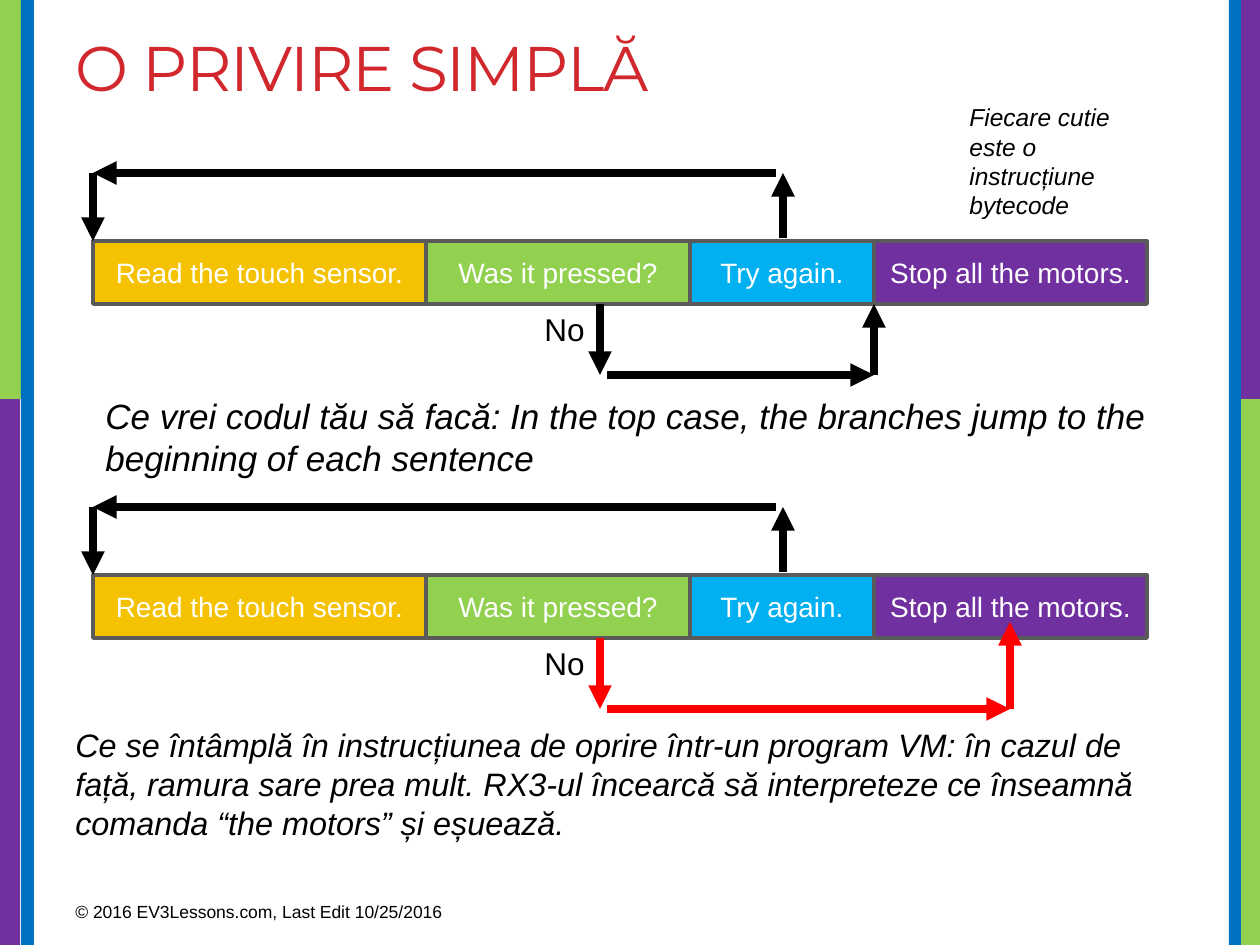
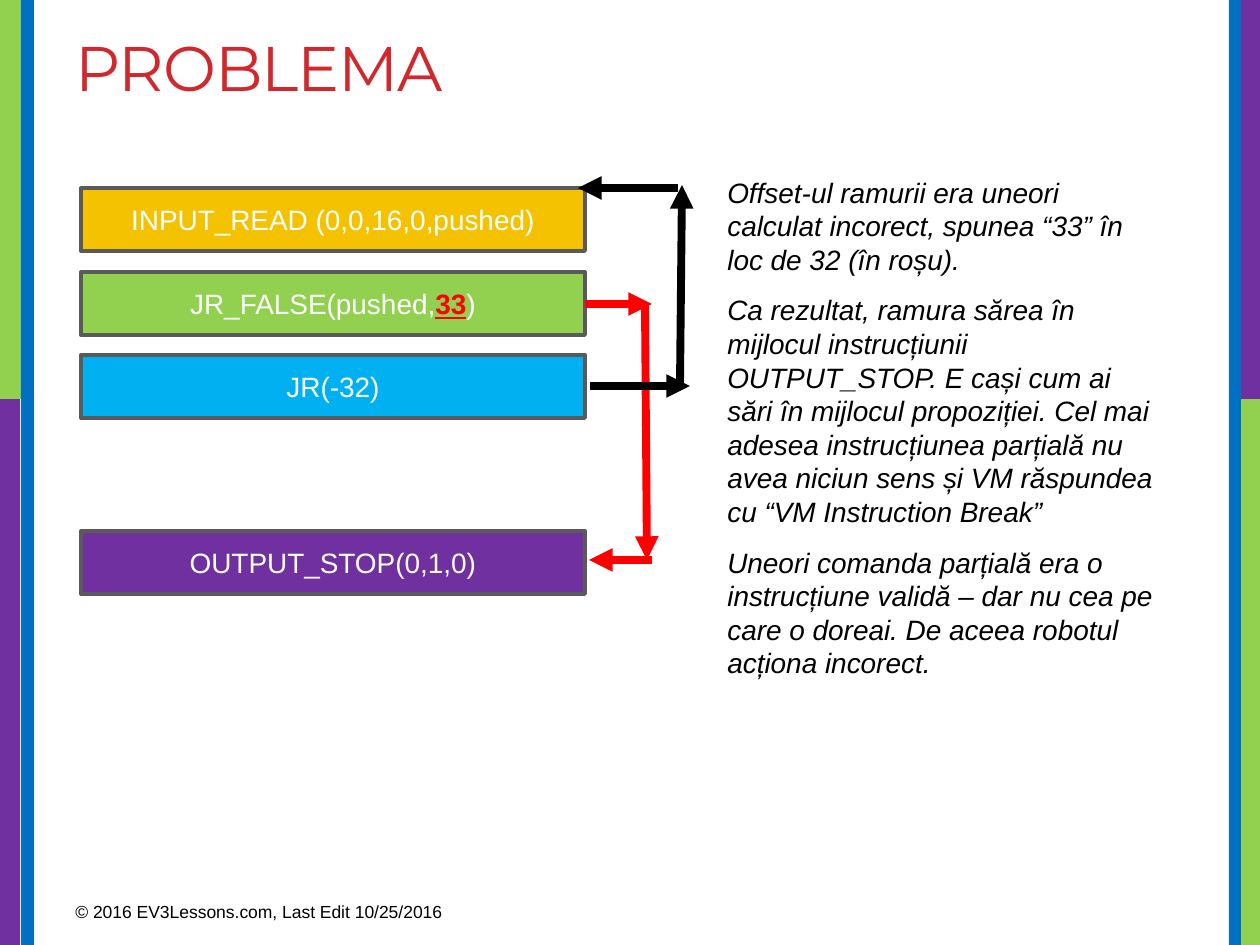
import dataclasses

import pptx
import pptx.dml.color
import pptx.enum.shapes
import pptx.enum.text
import pptx.oxml.ns
import pptx.util
from lxml import etree

PX_PER_INCH = 126
PAGE_WIDTH, PAGE_HEIGHT = 1260, 945


# Colours and type sizes
@dataclasses.dataclass(frozen=True)
class Theme:
    green: str = "92D050"
    purple: str = "7030A0"
    blue: str = "0070C0"
    sky: str = "00B0F0"
    yellow: str = "F5C201"
    red: str = "FF0000"
    title_red: str = "D1282E"
    outline: str = "5A5A5A"
    black: str = "000000"
    white: str = "FFFFFF"
    body_font: str = "Arial"
    title_font: str = "Montserrat"
    title_size: float = 36
    case_size: float = 20
    result_size: float = 18.5
    label_size: float = 18
    body_size: float = 16
    note_size: float = 14
    footer_size: float = 10
    outline_width: float = 2.25
    arrow_width: float = 4.5
    space_before: float = 3.7
    space_after: float = 6


THEME = Theme()
BOX_HEIGHT = 63
BOX_COLORS = (THEME.yellow, THEME.green, THEME.sky, THEME.purple)


def px(length):
    return pptx.util.Emu(round(length * 914400 / PX_PER_INCH))


def rgb(color):
    return pptx.dml.color.RGBColor.from_string(color)


# Element builders
def add_span(para, text, size, color, font=THEME.body_font, italic=False):
    span = para.add_run()
    span.text = text
    span.font.name = font
    span.font.size = pptx.util.Pt(size)
    span.font.color.rgb = rgb(color)
    span.font.italic = italic
    return span


def add_text(page, left, top, width, height, paragraphs, size, italic=False,
             color=THEME.black, font=THEME.body_font):
    box = page.shapes.add_textbox(px(left), px(top), px(width), px(height))
    frame = box.text_frame
    frame.word_wrap = True
    spans = []
    for index, text in enumerate(paragraphs):
        para = frame.paragraphs[0]
        if index:
            para = frame.add_paragraph()
            para.space_before = pptx.util.Pt(THEME.space_before)
        if len(paragraphs) > 1:
            para.space_after = pptx.util.Pt(THEME.space_after)
        spans.append(add_span(para, text, size, color, font, italic))
    return spans


def add_rectangle(page, left, top, width, height, color):
    box = page.shapes.add_shape(pptx.enum.shapes.MSO_SHAPE.RECTANGLE,
                                px(left), px(top), px(width), px(height))
    box.shadow.inherit = False
    box.fill.solid()
    box.fill.fore_color.rgb = rgb(color)
    box.line.fill.background()
    return box


def add_instruction(page, left, top, width, color, text, marked="", rest=""):
    box = add_rectangle(page, left, top, width, BOX_HEIGHT, color)
    box.line.color.rgb = rgb(THEME.outline)
    box.line.width = pptx.util.Pt(THEME.outline_width)
    box.text_frame.word_wrap = True
    para = box.text_frame.paragraphs[0]
    para.alignment = pptx.enum.text.PP_ALIGN.CENTER
    add_span(para, text, THEME.body_size, THEME.white)
    if marked:
        span = add_span(para, marked, THEME.body_size, THEME.red)
        span.font.bold = True
        span.font.underline = True
        add_span(para, rest, THEME.body_size, THEME.white)


def add_arrow(page, start, end, color=THEME.black):
    arrow = page.shapes.add_connector(
        pptx.enum.shapes.MSO_CONNECTOR.STRAIGHT,
        px(start[0]), px(start[1]), px(end[0]), px(end[1]))
    arrow.line.color.rgb = rgb(color)
    arrow.line.width = pptx.util.Pt(THEME.arrow_width)
    outline = arrow.line._get_or_add_ln()
    etree.SubElement(outline, pptx.oxml.ns.qn("a:tailEnd"), type="triangle")
    etree.SubElement(arrow._element.spPr, pptx.oxml.ns.qn("a:effectLst"))


# Bands, title and footer shared by the pages
def add_page(deck, title):
    page = deck.slides.add_slide(deck.slide_layouts[6])
    split = 399
    for left, top, width, bottom, color in (
            (1240, split, 20, PAGE_HEIGHT, THEME.green),
            (1235, 0, 25, split, THEME.purple),
            (1229, 0, 12, PAGE_HEIGHT, THEME.blue),
            (0, split, 20, PAGE_HEIGHT, THEME.purple),
            (0, 0, 25, split, THEME.green),
            (21, 0, 13, PAGE_HEIGHT, THEME.blue)):
        add_rectangle(page, left, top, width, bottom - top, color)
    heading = add_text(page, 63, 22, 1137, 189, [title], THEME.title_size,
                       color=THEME.title_red, font=THEME.title_font)[0]
    heading._r.get_or_add_rPr().set("spc", "-60")
    add_text(page, 63, 895, 473, 39,
             ["© 2016 EV3Lessons.com, Last Edit 10/25/2016"], THEME.footer_size)
    return page


# A row of instructions, with its loop back and its branch forward
def add_flow(page, top, target, target_depth, branch_color):
    edges = (93, 426, 690, 874, 1147)
    sentences = ("Read the touch sensor.", "Was it pressed?",
                 "Try again.", "Stop all the motors.")
    for left, right, color, text in zip(edges, edges[1:], BOX_COLORS, sentences):
        add_instruction(page, left, top, right - left, color, text)

    loop_y = top - 68
    add_arrow(page, (776, loop_y), (93, loop_y))
    add_arrow(page, (93, loop_y), (93, top))
    add_arrow(page, (783, top - 3), (783, loop_y))

    bottom, branch_y = top + BOX_HEIGHT, top + 134
    add_arrow(page, (target, branch_y), (target, top + target_depth), branch_color)
    add_arrow(page, (607, branch_y), (target, branch_y), branch_color)
    add_arrow(page, (600, bottom), (600, branch_y), branch_color)
    add_text(page, 532, bottom, 78, 50, ["No"], THEME.label_size)


def add_overview_page(deck):
    page = add_page(deck, "O PRIVIRE SIMPLĂ")
    add_text(page, 63, 719, 1137, 125, [
        "Ce se întâmplă în instrucțiunea de oprire într-un program VM: în cazul "
        "de față, ramura sare prea mult. RX3-ul încearcă să interpreteze ce "
        "înseamnă comanda “the motors” și eșuează."],
        THEME.result_size, italic=True)
    add_flow(page, 241, 874, BOX_HEIGHT, THEME.black)
    add_flow(page, 575, 1010, 47, THEME.red)
    add_text(page, 93, 388, 1137, 207, [
        "Ce vrei codul tău să facă: In the top case, the branches jump to the "
        "beginning of each sentence"], THEME.case_size, italic=True)
    add_text(page, 957, 96, 207, 131,
             ["Fiecare cutie este o instrucțiune bytecode"],
             THEME.note_size, italic=True)


def add_problem_page(deck):
    page = add_page(deck, "PROBLEMA")
    add_text(page, 715, 169, 454, 673, [
        "Offset-ul ramurii era uneori calculat incorect, spunea “33” în loc de "
        "32 (în roșu).",
        "Ca rezultat, ramura sărea în mijlocul instrucțiunii OUTPUT_STOP. E cași "
        "cum ai sări în mijlocul propoziției. Cel mai adesea instrucțiunea "
        "parțială nu avea niciun sens și VM răspundea cu “VM Instruction Break”",
        "Uneori comanda parțială era o instrucțiune validă – dar nu cea pe care "
        "o doreai. De aceea robotul acționa incorect."],
        THEME.body_size, italic=True)

    # Bytecode instructions
    bytecodes = (("INPUT_READ (0,0,16,0,pushed)",),
                 ("JR_FALSE(pushed,", "33", ")"),
                 ("JR(-32)",),
                 ("OUTPUT_STOP(0,1,0)",))
    for top, color, parts in zip((188, 272, 355, 531), BOX_COLORS, bytecodes):
        add_instruction(page, 81, top, 504, color, *parts)

    # Wrong branch forward, then the loop back
    add_arrow(page, (585, 304), (652, 304), THEME.red)
    add_arrow(page, (645, 304), (647, 560), THEME.red)
    add_arrow(page, (652, 560), (589, 560), THEME.red)
    add_arrow(page, (590, 386), (690, 386))
    add_arrow(page, (680, 388), (682, 185))
    add_arrow(page, (678, 188), (578, 188))


def main():
    deck = pptx.Presentation()
    deck.slide_width = px(PAGE_WIDTH)
    deck.slide_height = px(PAGE_HEIGHT)
    add_overview_page(deck)
    add_problem_page(deck)
    deck.save("out.pptx")


if __name__ == "__main__":
    main()
